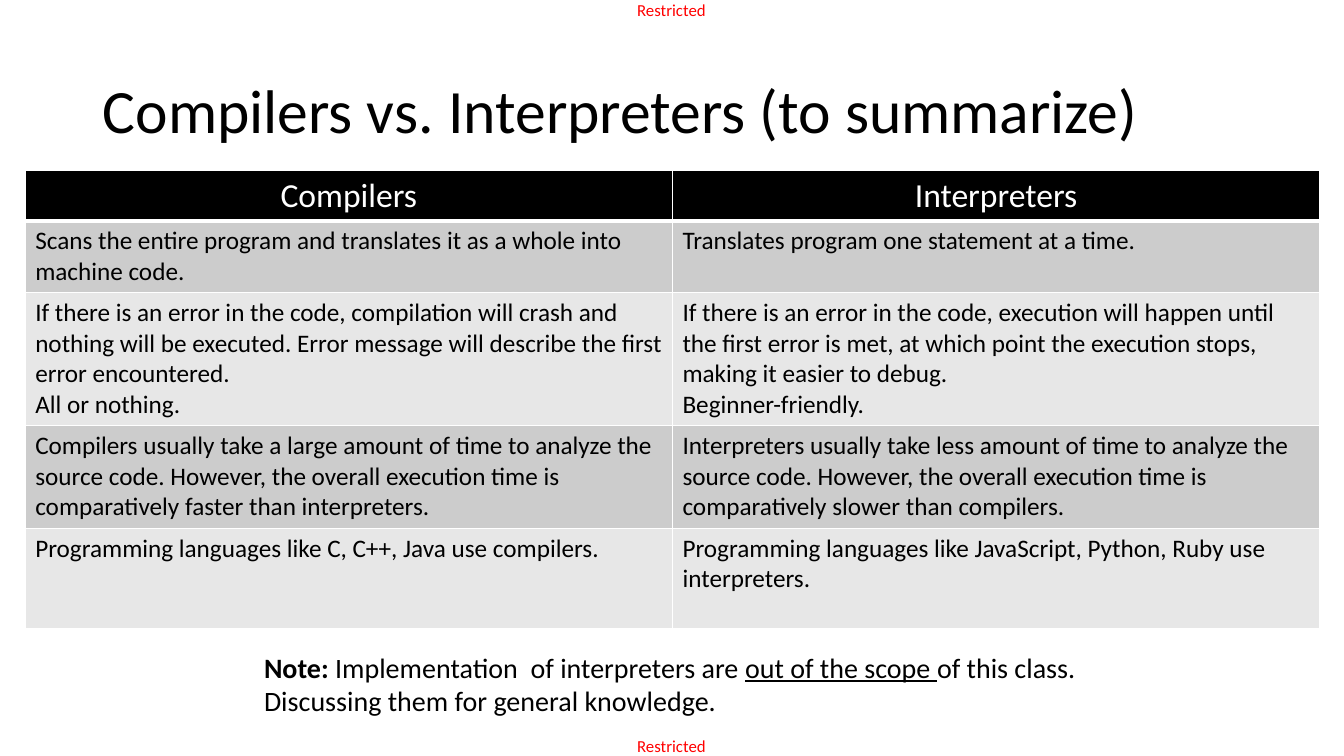
"""Builds the slide that compares compilers with interpreters."""
from dataclasses import dataclass, field
from typing import Any

from lxml.etree import SubElement
from pptx import Presentation
from pptx.dml.color import RGBColor
from pptx.enum.text import MSO_ANCHOR as Anchor, PP_ALIGN as Align
from pptx.oxml.ns import qn
from pptx.util import Inches, Pt

COLORS = {
    "ink": "000000",
    "paper": "FFFFFF",
    "marking": "FF0000",
    "odd_row": "CCCCCC",
    "even_row": "E7E7E7",
}
FONT = "Calibri"
COLUMN_WIDTH = 6.42
BORDER_SIDES = ("lnL", "lnR", "lnT", "lnB")


@dataclass
class Run:
    text: str
    format: dict[str, Any] = field(default_factory=dict)


@dataclass
class TextBlock:
    left: float
    top: float
    width: float
    height: float
    paragraphs: list[list[Run]]
    size: int
    color: str
    frame: dict[str, Any]


@dataclass
class ComparisonRow:
    height: float
    compilers: str
    interpreters: str


NO_MARGINS = {
    "margin_left": 0, "margin_right": 0, "margin_top": 0, "margin_bottom": 0,
    "word_wrap": False,
}
MARKINGS = [
    TextBlock(6.32, top, 0.73, 0.2, [[Run("Restricted")]], 12, "marking", NO_MARGINS)
    for top in (0, 7.3)
]
NOTE = TextBlock(
    2.52, 6.4, 8.29, 0.77,
    [
        [
            Run("Note: ", {"bold": True}),
            Run("Implementation  of interpreters are "),
            Run("out of the scope ", {"underline": True}),
            Run("of this class."),
        ],
        [Run("Discussing them for general knowledge.")],
    ],
    20, "ink", {"word_wrap": True},
)
COMPARISON = [
    ComparisonRow(0.5, "Compilers", "Interpreters"),
    ComparisonRow(
        0.71,
        "Scans the entire program and translates it as a whole into machine code.",
        "Translates program one statement at a time.",
    ),
    ComparisonRow(
        1.32,
        "If there is an error in the code, compilation will crash and nothing will be "
        "executed. Error message will describe the first error encountered.\n"
        "All or nothing.",
        "If there is an error in the code, execution will happen until the first error "
        "is met, at which point the execution stops, making it easier to debug.\n"
        "Beginner-friendly.",
    ),
    ComparisonRow(
        1.02,
        "Compilers usually take a large amount of time to analyze the source code. "
        "However, the overall execution time is comparatively faster than interpreters.",
        "Interpreters usually take less amount of time to analyze the source code. "
        "However, the overall execution time is comparatively slower than compilers.",
    ),
    ComparisonRow(
        1,
        "Programming languages like C, C++, Java use compilers.",
        "Programming languages like JavaScript, Python, Ruby use interpreters.",
    ),
]


def apply_format(target: Any, values: dict[str, Any]) -> None:
    """Set every named attribute on the target."""
    for name, value in values.items():
        setattr(target, name, value)


def style_font(font: Any, size: int, color: str, **extra: Any) -> None:
    """Give a font the slide typeface, a size and a colour."""
    apply_format(font, {"name": FONT, "size": Pt(size), **extra})
    font.color.rgb = RGBColor.from_string(COLORS[color])


def add_text_block(slide: Any, block: TextBlock) -> None:
    """Draw a text box made of formatted runs."""
    bounds = map(Inches, (block.left, block.top, block.width, block.height))
    frame = slide.shapes.add_textbox(*bounds).text_frame
    apply_format(frame, block.frame)
    for index, runs in enumerate(block.paragraphs):
        paragraph = frame.add_paragraph() if index else frame.paragraphs[0]
        for part in runs:
            run = paragraph.add_run()
            run.text = part.text
            style_font(run.font, block.size, block.color, **part.format)


def add_title(slide: Any, wording: str) -> None:
    """Place and format the title placeholder."""
    title = slide.shapes.title
    apply_format(title, {
        "left": Inches(0.92), "top": Inches(0.4),
        "width": Inches(11.5), "height": Inches(1.45),
    })
    title.text_frame.text = wording
    title.text_frame.vertical_anchor = Anchor.MIDDLE
    heading = title.text_frame.paragraphs[0]
    apply_format(heading, {"alignment": Align.LEFT, "line_spacing": 0.9})
    style_font(heading.runs[0].font, 44, "ink")


def add_borders(cell: Any, bottom_width: int) -> None:
    """Draw white borders around a cell."""
    properties = cell._tc.get_or_add_tcPr()
    for side in BORDER_SIDES:
        width = bottom_width if side == "lnB" else 1
        line = SubElement(properties, qn(f"a:{side}"), w=str(Pt(width)))
        fill = SubElement(line, qn("a:solidFill"))
        SubElement(fill, qn("a:srgbClr"), val=COLORS["paper"])


def fill_cell(cell: Any, wording: str, row_index: int) -> None:
    """Write and format one cell by its row."""
    is_header = row_index == 0
    background = "ink" if is_header else "odd_row" if row_index % 2 else "even_row"
    add_borders(cell, 3 if is_header else 1)
    cell.fill.solid()
    cell.fill.fore_color.rgb = RGBColor.from_string(COLORS[background])
    cell.text = wording
    for paragraph in cell.text_frame.paragraphs:
        paragraph.alignment = Align.CENTER if is_header else Align.LEFT
        size, color = (24, "paper") if is_header else (18, "ink")
        style_font(paragraph.runs[0].font, size, color, bold=False)


def add_comparison(slide: Any, rows: list[ComparisonRow]) -> None:
    """Draw the two-column comparison table."""
    height = sum(row.height for row in rows)
    bounds = map(Inches, (0.25, 1.69, 2 * COLUMN_WIDTH, height))
    table = slide.shapes.add_table(len(rows), 2, *bounds).table
    for column in table.columns:
        column.width = Inches(COLUMN_WIDTH)
    for index, row in enumerate(rows):
        table.rows[index].height = Inches(row.height)
        for column_index, wording in enumerate((row.compilers, row.interpreters)):
            fill_cell(table.cell(index, column_index), wording, index)


def main() -> None:
    """Build and save the presentation."""
    deck = Presentation()
    apply_format(deck, {"slide_width": Inches(13.33), "slide_height": Inches(7.5)})
    slide = deck.slides.add_slide(deck.slide_layouts[5])
    for marking in MARKINGS:
        add_text_block(slide, marking)
    add_title(slide, "Compilers vs. Interpreters (to summarize)")
    add_comparison(slide, COMPARISON)
    add_text_block(slide, NOTE)
    deck.save("out.pptx")


if __name__ == "__main__":
    main()
